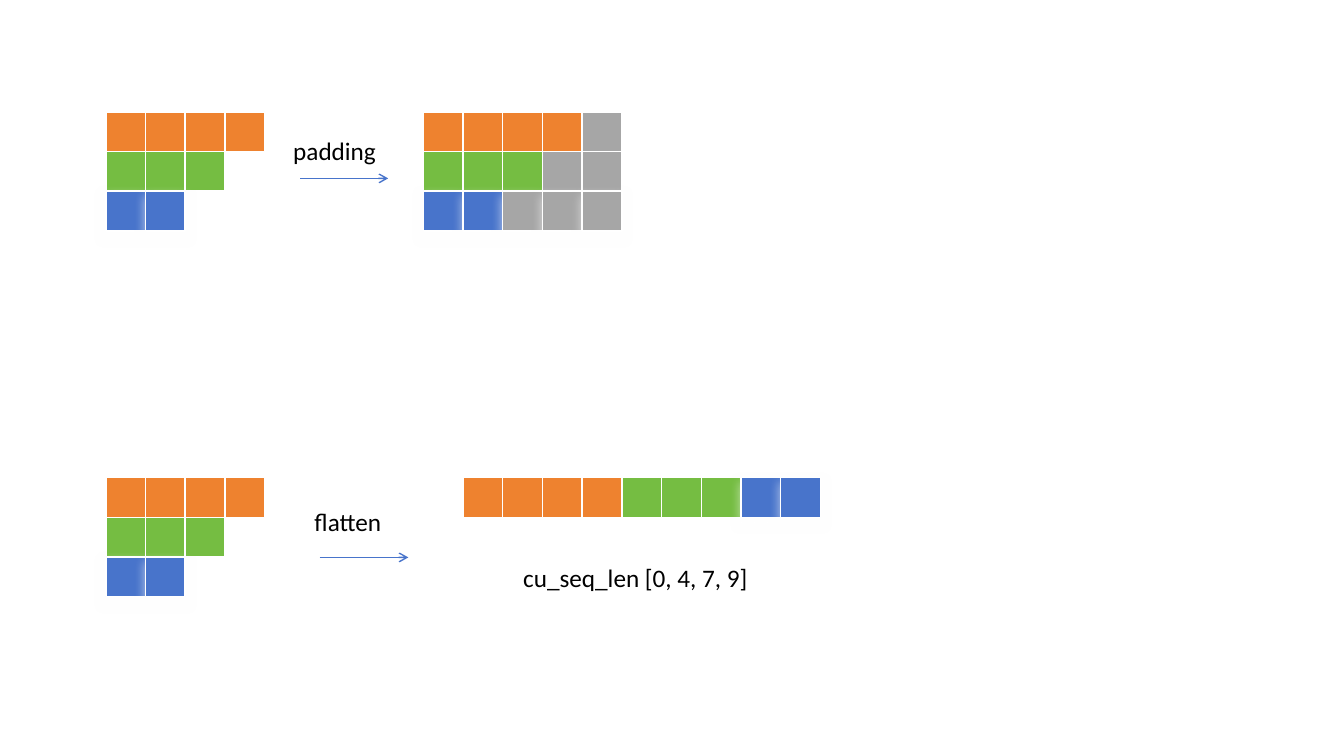
from lxml.etree import SubElement
from pptx import Presentation
from pptx.dml.color import RGBColor
from pptx.enum.shapes import MSO_CONNECTOR, MSO_SHAPE
from pptx.enum.text import MSO_AUTO_SIZE
from pptx.oxml.ns import qn
from pptx.util import Inches, Pt

# Content: each letter is one token; "-" is padding
SEQUENCES = ["OOOO", "GGG", "BB"]
PADDED = [tokens.ljust(5, "-") for tokens in SEQUENCES]
FLATTENED = ["".join(SEQUENCES)]
# (rows, first grid column, top)
BLOCKS = [
    (SEQUENCES, 0, 1.11),
    (PADDED, 8, 1.11),
    (SEQUENCES, 0, 4.74),
    (FLATTENED, 9, 4.74),
]
# (text, left, top, width)
LABELS = [
    ("padding", 2.81, 1.29, 1.18),
    ("flatten", 3.02, 4.97, 1.18),
    ("cu_seq_len [0, 4, 7, 9]", 5.09, 5.53, 3.28),
]
# (left, right, y)
ARROWS = [(2.98, 3.85, 1.77), (3.17, 4.05, 5.53)]

THEME = {
    "cells": {"O": "EE822F", "G": "75BD42", "B": "4874CB", "-": "A6A6A6"},
    "cell_line": "FFFFFF",
    "glow": "FFFFFF",
    "arrow": "4874CB",
    "text": {"name": "Calibri", "size": Pt(18)},
    "text_color": "000000",
}
GRID_LEFT = 1.05
CELL = 1 / 2.54
LABEL_HEIGHT = 0.4


def style_line(line, color):
    line.color.rgb = RGBColor.from_string(color)
    line.width = Pt(1)


def add_glow(shape):
    effects = shape._element.spPr.find(qn("a:effectLst"))
    shadow = SubElement(effects, qn("a:outerShdw"), blurRad=str(Pt(8)),
                        dist=str(Pt(4)), dir="5400000", rotWithShape="0")
    color = SubElement(shadow, qn("a:srgbClr"), val=THEME["glow"])
    SubElement(color, qn("a:alpha"), val="60000")


def add_cell(page, token, left, top, glows):
    cell = page.shapes.add_shape(MSO_SHAPE.RECTANGLE, Inches(left), Inches(top),
                                 Inches(CELL), Inches(CELL))
    cell.fill.solid()
    cell.fill.fore_color.rgb = RGBColor.from_string(THEME["cells"][token])
    style_line(cell.line, THEME["cell_line"])
    cell.shadow.inherit = False
    if glows:
        add_glow(cell)


def add_block(page, rows, column, top):
    for row, tokens in enumerate(rows):
        for offset, token in enumerate(tokens):
            add_cell(page, token, GRID_LEFT + (column + offset) * CELL,
                     top + row * CELL, "B" in tokens and (row == 2 or token == "B"))


def add_arrow(page, left, right, y):
    arrow = page.shapes.add_connector(MSO_CONNECTOR.STRAIGHT, Inches(left), Inches(y),
                                      Inches(right), Inches(y))
    style_line(arrow.line, THEME["arrow"])
    SubElement(arrow.line._get_or_add_ln(), qn("a:tailEnd"), type="arrow")
    SubElement(arrow._element.spPr, qn("a:effectLst"))


def add_label(page, text, left, top, width):
    box = page.shapes.add_textbox(Inches(left), Inches(top), Inches(width),
                                  Inches(LABEL_HEIGHT))
    box.text_frame.word_wrap = True
    box.text_frame.auto_size = MSO_AUTO_SIZE.SHAPE_TO_FIT_TEXT
    span = box.text_frame.paragraphs[0].add_run()
    span.text = text
    for name, value in THEME["text"].items():
        setattr(span.font, name, value)
    span.font.color.rgb = RGBColor.from_string(THEME["text_color"])


def main():
    deck = Presentation()
    deck.slide_width, deck.slide_height = Inches(13.33), Inches(7.5)
    page = deck.slides.add_slide(deck.slide_layouts[6])
    # Token grids, then arrows and labels
    for add_part, parts in ((add_block, BLOCKS), (add_arrow, ARROWS), (add_label, LABELS)):
        for part in parts:
            add_part(page, *part)
    deck.save("out.pptx")


if __name__ == "__main__":
    main()
